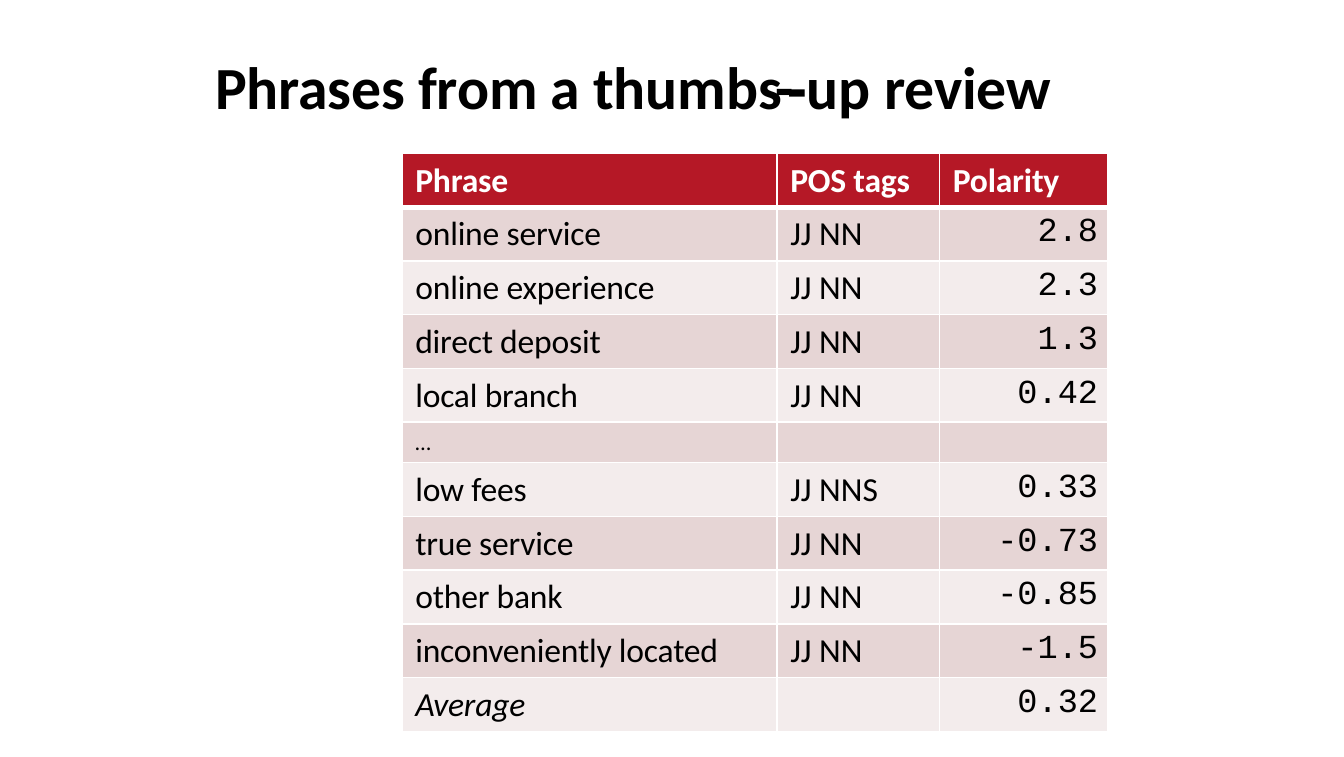
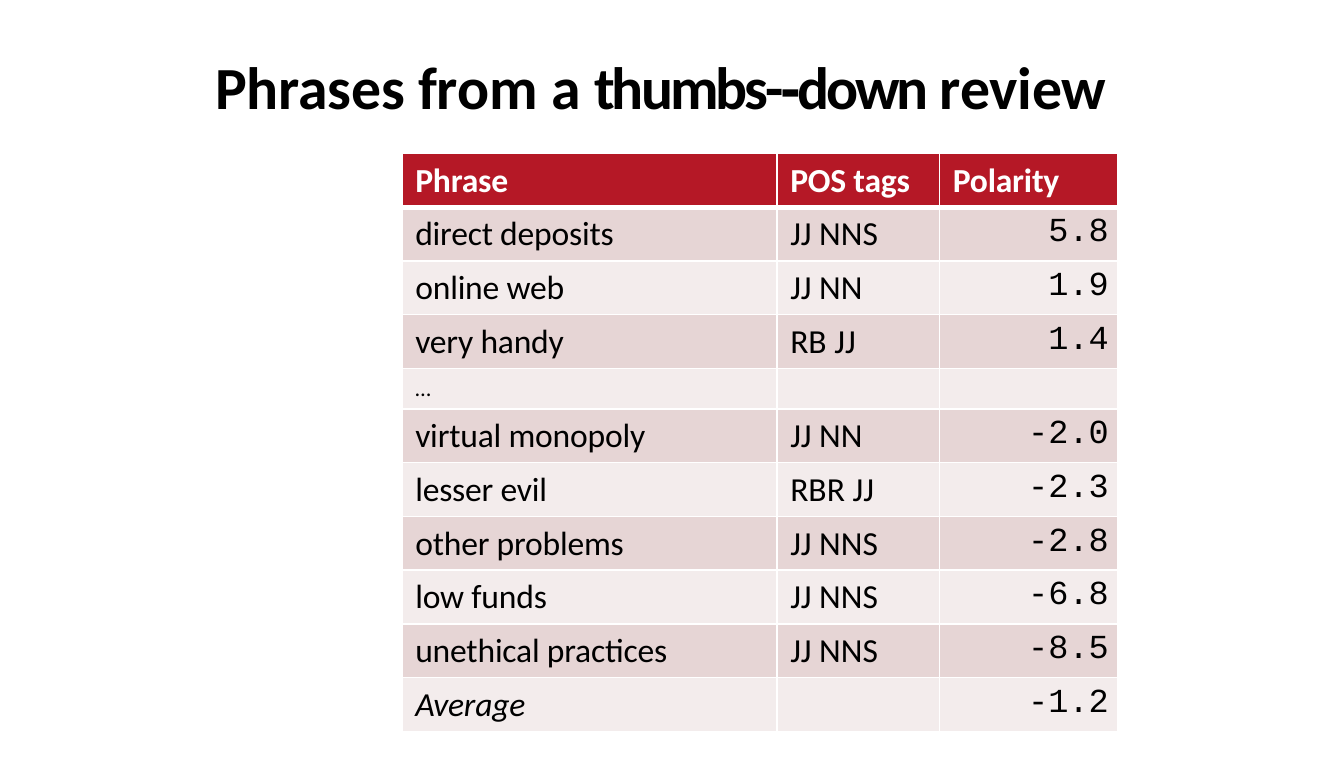
from dataclasses import dataclass

from lxml import etree
from pptx import Presentation
from pptx.dml.color import RGBColor
from pptx.enum import text
from pptx.oxml import ns
from pptx.util import Inches, Pt

BLACK = RGBColor(0x00, 0x00, 0x00)
WHITE = RGBColor(0xFF, 0xFF, 0xFF)
HEADER_RED = RGBColor(0xB5, 0x18, 0x26)
BANDS = (RGBColor(0xF3, 0xEC, 0xEC), RGBColor(0xE6, 0xD5, 0xD5))

TEXT_FONT = "Calibri"
NUMBER_FONT = "Courier New"
TIGHT = -0.1  # letter spacing in points
ROW_HEIGHT = Inches(0.4)
GAP_HEIGHT = Inches(0.3)
HEADER = ("Phrase", "POS tags", "Polarity")
GAP = ("…", "", "")


@dataclass(frozen=True)
class Span:
    text: str
    spacing: float = TIGHT


@dataclass(frozen=True)
class Review:
    title: tuple[Span, ...]
    title_width: float
    polarity_width: float
    phrases: tuple[tuple[str, str, str], ...]


REVIEWS = (
    Review(
        (Span("Phrases from a thumb"), Span("s-‐", -3.5), Span("u", -5.8),
         Span("p", 0), Span(" review")),
        6.25,
        1.25,
        (
            ("online service", "JJ NN", "2.8"),
            ("online experience", "JJ NN", "2.3"),
            ("direct deposit", "JJ NN", "1.3"),
            ("local branch", "JJ NN", "0.42"),
            GAP,
            ("low fees", "JJ NNS", "0.33"),
            ("true service", "JJ NN", "-0.73"),
            ("other bank", "JJ NN", "-0.85"),
            ("inconveniently located", "JJ NN", "-1.5"),
            ("Average", "", "0.32"),
        ),
    ),
    Review(
        (Span("Phrases from "), Span("a ", 0), Span("thumbs-‐down ", -1.6),
         Span("review")),
        6.82,
        1.33,
        (
            ("direct deposits", "JJ NNS", "5.8"),
            ("online web", "JJ NN", "1.9"),
            ("very handy", "RB JJ", "1.4"),
            GAP,
            ("virtual monopoly", "JJ NN", "-2.0"),
            ("lesser evil", "RBR JJ", "-2.3"),
            ("other problems", "JJ NNS", "-2.8"),
            ("low funds", "JJ NNS", "-6.8"),
            ("unethical practices", "JJ NNS", "-8.5"),
            ("Average", "", "-1.2"),
        ),
    ),
)


def add_span(para, span: Span) -> None:
    run = para.add_run()
    run.text = span.text
    run._r.get_or_add_rPr().set("spc", str(round(span.spacing * 100)))


def set_font(para, name: str, size: int, color: RGBColor,
             bold: bool = False, italic: bool = False) -> None:
    font = para.font
    font.name, font.size, font.bold, font.italic = name, Pt(size), bold, italic
    font.color.rgb = color


def set_title(page, review: Review) -> None:
    box = page.shapes.title
    box.left, box.top = Inches(1.59), Inches(0.36)
    box.width, box.height = Inches(review.title_width), Inches(0.56)
    frame = box.text_frame
    frame.margin_left = frame.margin_top = Inches(0.01)
    frame.margin_right = frame.margin_bottom = 0
    frame.word_wrap = True
    frame.auto_size = text.MSO_AUTO_SIZE.SHAPE_TO_FIT_TEXT
    frame.vertical_anchor = text.MSO_ANCHOR.TOP
    para = frame.paragraphs[0]
    para.alignment = text.PP_ALIGN.LEFT
    set_font(para, TEXT_FONT, 32, BLACK, bold=True)
    for span in review.title:
        add_span(para, span)


def set_borders(cell, top: int, bottom: int) -> None:
    """Draw white cell edges; top and bottom widths are in points."""
    properties = cell._tc.get_or_add_tcPr()
    widths = {"lnL": 1, "lnR": 1, "lnT": top, "lnB": bottom}
    for position, (tag, width) in enumerate(widths.items()):
        line = etree.Element(ns.qn(f"a:{tag}"), w=str(Pt(width)))
        fill = etree.SubElement(line, ns.qn("a:solidFill"))
        etree.SubElement(fill, ns.qn("a:srgbClr"), val=str(WHITE))
        properties.insert(position, line)


def fill_cell(cell, value: str, row: int, column: int, size: int) -> None:
    is_header = row == 0
    is_number = column == 2 and not is_header
    cell.fill.solid()
    cell.fill.fore_color.rgb = HEADER_RED if is_header else BANDS[row % 2]
    set_borders(cell, top=3 if row == 1 else 1, bottom=3 if is_header else 1)
    cell.margin_left = Inches(0.1)
    cell.margin_right = Inches(0.07) if is_number else 0
    cell.margin_top, cell.margin_bottom = Inches(0.05), 0
    para = cell.text_frame.paragraphs[0]
    para.alignment = text.PP_ALIGN.RIGHT if is_number else text.PP_ALIGN.LEFT
    set_font(para, NUMBER_FONT if is_number else TEXT_FONT, size,
             WHITE if is_header else BLACK, is_header, value == "Average")
    if value:
        add_span(para, Span(value, TIGHT if is_header or column == 0 else 0))
    else:
        etree.SubElement(para._p, ns.qn("a:endParaRPr"), sz=str(size * 100))


def add_phrase_table(page, review: Review) -> None:
    rows = (HEADER, *review.phrases)
    widths = (2.79, 1.21, review.polarity_width)
    heights = [GAP_HEIGHT if row == GAP else ROW_HEIGHT for row in rows]
    table = page.shapes.add_table(
        len(rows), len(widths), Inches(2.99), Inches(1.14),
        Inches(sum(widths)), sum(heights)).table
    table.first_row = table.horz_banding = False
    for column, width in zip(table.columns, widths):
        column.width = Inches(width)
    for row, (values, height) in enumerate(zip(rows, heights)):
        table.rows[row].height = height
        size = 12 if values == GAP else 18
        for column, value in enumerate(values):
            fill_cell(table.cell(row, column), value, row, column, size)


def main() -> None:
    deck = Presentation()
    deck.slide_width, deck.slide_height = Inches(10), Inches(5.63)
    title_only = deck.slide_layouts[5]
    for review in REVIEWS:
        page = deck.slides.add_slide(title_only)
        set_title(page, review)
        add_phrase_table(page, review)
    deck.save("out.pptx")


if __name__ == "__main__":
    main()
